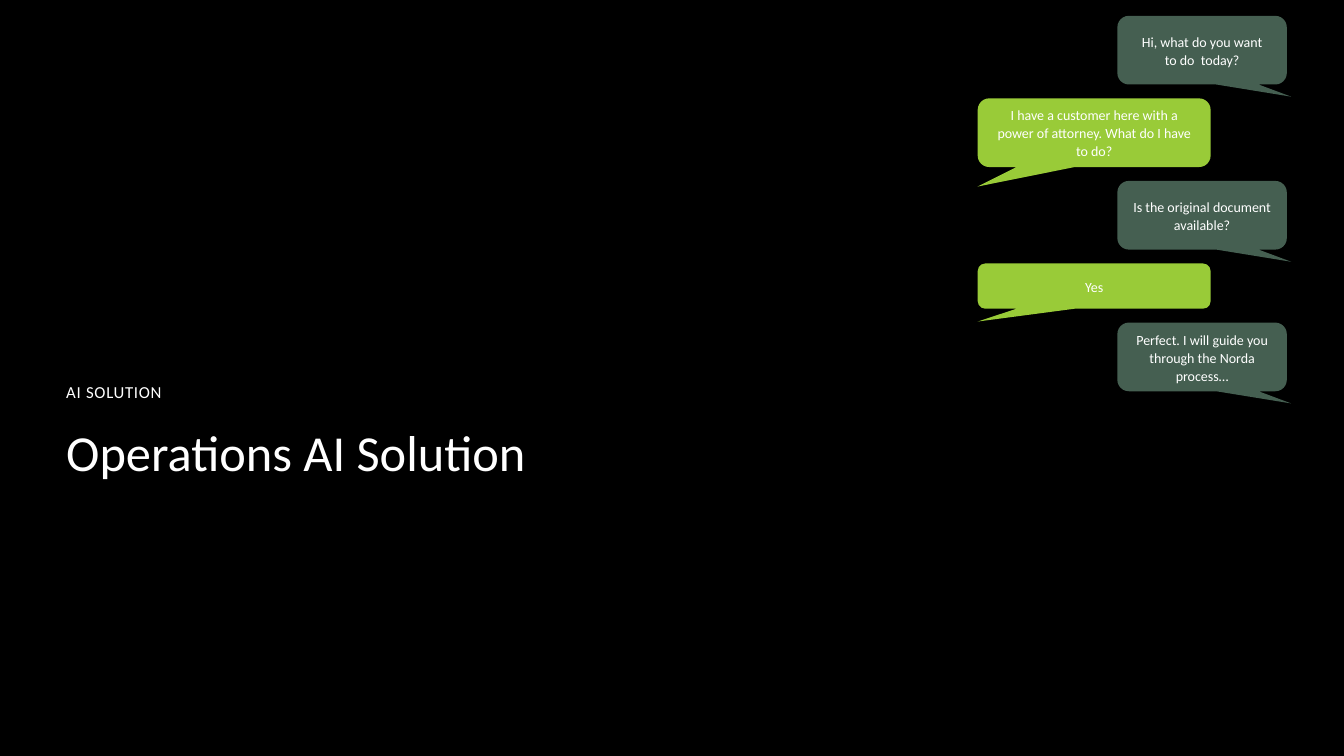
from pptx import Presentation
from pptx.dml.color import RGBColor
from pptx.enum.shapes import MSO_SHAPE as Preset
from pptx.enum.text import MSO_ANCHOR as Anchor, PP_ALIGN as Align
from pptx.util import Cm, Pt

BLACK = RGBColor(0x00, 0x00, 0x00)
WHITE = RGBColor(0xFF, 0xFF, 0xFF)
DARK_GREEN = RGBColor(0x45, 0x5F, 0x51)
LIME = RGBColor(0x99, 0xCB, 0x38)
FONT = "Calibri"

BUBBLE_GAP = 0.35
# Offset in the chat, width, colour and callout tip of each speaker
ASSISTANT = (3.52, 4.27, DARK_GREEN, (0.526, 0.678, 0.167))
CLERK = (0, 5.87, LIME, (-0.5, 0.784, 0.167))
MESSAGES = [
    (ASSISTANT, 1.73, "Hi, what do you want\vto do  today?"),
    (CLERK, 1.73, "I have a customer here with a power of attorney. What do I have to do?"),
    (ASSISTANT, 1.73, "Is the original document available?"),
    (CLERK, 1.14, "Yes"),
    (ASSISTANT, 1.73, "Perfect. I will guide you through the Norda process…"),
]


def write(shape, text, size, line_spacing, anchor, align=Align.LEFT, wrap=True):
    frame = shape.text_frame
    frame.text = text
    frame.word_wrap = wrap
    frame.vertical_anchor = anchor
    paragraph = frame.paragraphs[0]
    paragraph.alignment = align
    paragraph.line_spacing = line_spacing
    for run in paragraph.runs:
        run.font.name = FONT
        run.font.size = Pt(size)
        run.font.color.rgb = WHITE
    return paragraph


def add_heading(slide, left, top, width):
    # Small label above the title
    label = slide.shapes.add_textbox(Cm(left), Cm(top), Cm(width), Cm(0.71))
    paragraph = write(label, "AI SOLUTION", 12, 0.8, Anchor.BOTTOM, wrap=False)
    paragraph.runs[0].font._element.set("spc", "50")

    # Title
    title = slide.shapes.add_textbox(Cm(left), Cm(top + 1.12), Cm(width), Cm(4.37))
    write(title, "Operations AI Solution", 36, 0.9, Anchor.TOP)


def add_chat(slide, left, top):
    # Bubbles stacked with an equal gap
    for (offset, width, colour, tip), height, text in MESSAGES:
        bubble = slide.shapes.add_shape(
            Preset.ROUNDED_RECTANGULAR_CALLOUT,
            Cm(left + offset), Cm(top), Cm(width), Cm(height))
        for index, value in enumerate(tip):
            bubble.adjustments[index] = value
        bubble.shadow.inherit = False
        bubble.fill.solid()
        bubble.fill.fore_color.rgb = colour
        bubble.line.fill.background()
        write(bubble, text, 10, 1.07, Anchor.MIDDLE, Align.CENTER)
        top += height + BUBBLE_GAP


def main():
    presentation = Presentation()
    presentation.slide_width = Cm(33.87)
    presentation.slide_height = Cm(19.05)
    slide = presentation.slides.add_slide(presentation.slide_layouts[6])
    slide.background.fill.solid()
    slide.background.fill.fore_color.rgb = BLACK
    add_heading(slide, left=1.42, top=9.53, width=13.94)
    add_chat(slide, left=24.64, top=0.4)
    presentation.save("out.pptx")


if __name__ == "__main__":
    main()
